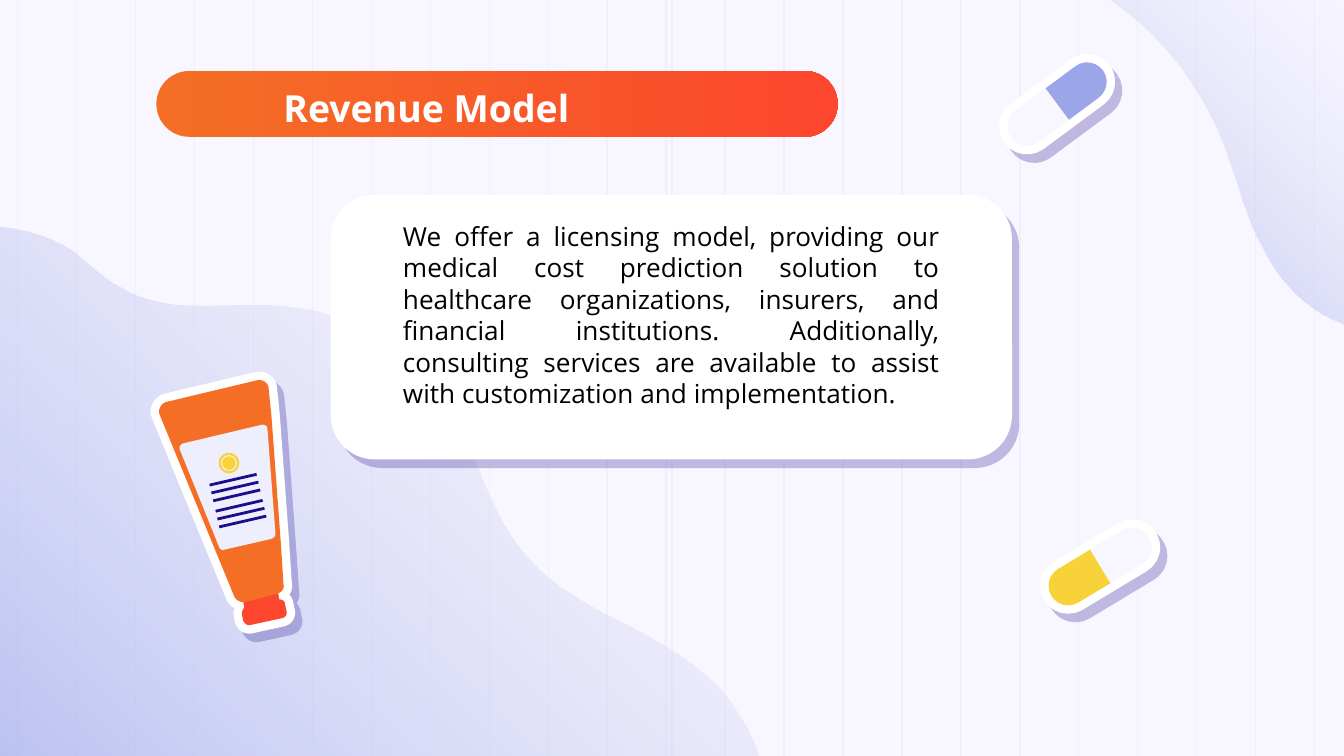
from math import cos, radians, sin

from lxml.etree import SubElement
from pptx import Presentation
from pptx.dml.color import RGBColor
from pptx.enum.shapes import MSO_CONNECTOR, MSO_SHAPE
from pptx.enum.text import MSO_ANCHOR, PP_ALIGN
from pptx.oxml.ns import qn
from pptx.util import Pt

WIDTH, HEIGHT = 720, 405
PAPER, STRIPE, WHITE, BLACK = "F8F6FF", "EFEEFC", "FFFFFF", "000000"
ORANGE, RED, YELLOW, BLUE, NAVY = "F46F25", "FC462D", "F7D238", "9BA6E9", "1D0D8D"
FONT = "Open Sans"

# Outlines: a pair is a straight step, six numbers are a Bezier step.
LEFT_WAVE = [
    (-17, 122), (4, 120, 20, 124, 35, 132), (45, 138, 53, 148, 63, 153),
    (89, 170, 122, 161, 153, 164), (188, 167, 222, 188, 240, 218),
    (256, 244, 262, 276, 282, 298), (295, 313, 313, 323, 331, 332),
    (349, 341, 370, 353, 384, 367), (397, 382, 408, 400, 410, 423),
    (4, 423), (-8, 423, -17, 413, -17, 401),
]
RIGHT_WAVE = [
    (731, 176), (708, 174, 686, 154, 676, 132), (665, 112, 661, 88, 651, 67),
    (636, 35, 612, 8, 580, -9), (703, -9), (718, -9, 731, 4, 731, 20),
]
TUBE_BODY = [
    (89.3, 215.3), (86.4, 216, 84.2, 219.6, 85.7, 222.5), (125.3, 319),
    (126.5, 322, 129, 322.6, 131, 322.6), (148.3, 318.2),
    (150.5, 317.5, 152.6, 315.4, 151.9, 313.2), (150.5, 291.6),
    (145.4, 222.5), (144, 208.8), (144, 205.2, 141, 203, 137.5, 203.8),
]
TUBE_CAP = [
    (131.8, 325.4), (130.3, 325.4, 129.6, 327.6, 129.6, 329), (130.3, 332.6),
    (131, 334, 132.5, 335.5, 134.6, 334.8), (151.2, 331.2),
    (153.4, 330.5, 154, 329, 153.4, 326.9), (152.6, 323.3),
    (152.6, 321.8, 150.5, 321, 149, 321.1),
]
TUBE_NECK = [(130.3, 321.8), (131, 326.2), (149.8, 321.8), (149, 317.5)]
TUBE_LABEL = [
    (97.9, 237.6), (96.5, 238.3, 95.8, 239.8, 96.5, 241.2), (117.4, 293),
    (118, 294.5, 119.5, 295.2, 120.2, 294.5), (145.4, 288.7),
    (146.9, 288, 147.6, 287.3, 147.6, 285.8), (143.3, 229.7),
    (143.3, 228.2, 141.8, 227.5, 140.4, 227.5),
]


def color(value):
    return RGBColor.from_string(value)


def flatten(steps, samples=12):
    """Turn straight and Bezier steps into a list of points."""
    points = [steps[0]]
    for step in steps[1:]:
        if len(step) == 2:
            points.append(step)
            continue
        x0, y0 = points[-1]
        x1, y1, x2, y2, x3, y3 = step
        for index in range(1, samples + 1):
            t = index / samples
            a, b, c, d = (1 - t) ** 3, 3 * t * (1 - t) ** 2, 3 * t * t * (1 - t), t ** 3
            points.append((a * x0 + b * x1 + c * x2 + d * x3,
                           a * y0 + b * y1 + c * y2 + d * y3))
    return points


class SlideBuilder:
    def __init__(self, slide):
        self.slide = slide
        self.shapes = slide.shapes

    def paint(self, shape, fill=None, line=None, line_width=9):
        shape.shadow.inherit = False
        if fill:
            shape.fill.solid()
            shape.fill.fore_color.rgb = color(fill)
        else:
            shape.fill.background()
        if line:
            shape.line.color.rgb = color(line)
            shape.line.width = Pt(line_width)
        else:
            shape.line.fill.background()
        return shape

    def gradient(self, shape, colors, angle, opacities=None):
        """Blend two colours; the angle runs counter-clockwise."""
        shape.fill.gradient()
        shape.fill.gradient_angle = angle
        for stop, value in zip(shape.fill.gradient_stops, colors):
            stop.color.rgb = color(value)
        if opacities:
            stops = shape._element.spPr.find(qn("a:gradFill")).iter(qn("a:srgbClr"))
            for stop, opacity in zip(stops, opacities):
                SubElement(stop, qn("a:alpha"), val=str(opacity * 1000))

    def cast_shadow(self, shape):
        effects = shape._element.spPr.find(qn("a:effectLst"))
        shadow = SubElement(effects, qn("a:outerShdw"), blurRad="0", dist=str(Pt(6)),
                            dir=str(50 * 60000), algn="bl", rotWithShape="0")
        tint = SubElement(shadow, qn("a:srgbClr"), val=NAVY)
        SubElement(tint, qn("a:alpha"), val="25000")

    def preset(self, kind, left, top, width, height, fill=None, line=None, line_width=9):
        shape = self.shapes.add_shape(kind, Pt(left), Pt(top), Pt(width), Pt(height))
        return self.paint(shape, fill, line, line_width)

    def outline(self, steps, fill=None, line=None):
        points = [(Pt(x), Pt(y)) for x, y in flatten(steps)]
        builder = self.shapes.build_freeform(*points[0], scale=1.0)
        builder.add_line_segments(points[1:], close=True)
        return self.paint(builder.convert_to_shape(), fill, line)

    def line(self, x1, y1, x2, y2, stroke, width):
        connector = self.shapes.add_connector(
            MSO_CONNECTOR.STRAIGHT, Pt(x1), Pt(y1), Pt(x2), Pt(y2))
        connector.line.color.rgb = color(stroke)
        connector.line.width = Pt(width)
        SubElement(connector._element.spPr, qn("a:effectLst"))

    def text(self, left, top, width, height, words, size, ink, bold=False,
             spacing=1.0, anchor=MSO_ANCHOR.TOP, vertical_inset=0):
        box = self.shapes.add_textbox(Pt(left), Pt(top), Pt(width), Pt(height))
        frame = box.text_frame
        frame.word_wrap = True
        frame.vertical_anchor = anchor
        frame.margin_left = frame.margin_right = Pt(7.2)
        frame.margin_top = frame.margin_bottom = Pt(vertical_inset)
        frame.text = words
        paragraph = frame.paragraphs[0]
        paragraph.alignment = PP_ALIGN.JUSTIFY
        paragraph.line_spacing = spacing
        font = paragraph.runs[0].font
        font.name, font.size, font.bold = FONT, Pt(size), bold
        font.color.rgb = color(ink)

    def pill(self, center_x, center_y, angle, upper, lower, width=21, length=61):
        """Draw a capsule turned clockwise from upright, with two coloured halves."""
        shell = self.preset(MSO_SHAPE.ROUNDED_RECTANGLE, center_x - width / 2,
                            center_y - length / 2, width, length, WHITE, WHITE)
        shell.adjustments[0] = 0.5
        shell.rotation = angle
        self.cast_shadow(shell)
        for fill, turn in ((upper, angle), (lower, angle + 180)):
            x = center_x + sin(radians(turn)) * length / 4
            y = center_y - cos(radians(turn)) * length / 4
            half = self.preset(MSO_SHAPE.ROUND_2_SAME_RECTANGLE, x - width / 2,
                               y - length / 4, width, length / 2, fill)
            half.adjustments[0] = 0.5
            half.rotation = turn

    def tube(self):
        self.cast_shadow(self.outline(TUBE_BODY[:4] + TUBE_CAP + TUBE_BODY[4:], WHITE, WHITE))
        for steps, fill in ((TUBE_NECK, RED), (TUBE_CAP, RED),
                            (TUBE_BODY, ORANGE), (TUBE_LABEL, STRIPE)):
            self.outline(steps, fill)
        for shift in (0, 4.2, 8.4, 14, 18.2, 22.4):
            x, y = 112.3 + shift * 0.23, 259.9 + shift
            self.line(x, y, x + 25.2, y - 5.8, NAVY, 1.5)
        self.preset(MSO_SHAPE.OVAL, 117.2, 242.6, 11, 11, YELLOW)
        self.preset(MSO_SHAPE.OVAL, 118.7, 244.1, 8, 8, line=STRIPE, line_width=0.6)


def main():
    presentation = Presentation()
    presentation.slide_width, presentation.slide_height = Pt(WIDTH), Pt(HEIGHT)
    slide = presentation.slides.add_slide(presentation.slide_layouts[6])
    slide.background.fill.solid()
    slide.background.fill.fore_color.rgb = color(PAPER)
    builder = SlideBuilder(slide)

    for x in [9.5 + 31.58 * index for index in range(23)] + [WIDTH / 2]:
        builder.line(x, 0, x, HEIGHT, STRIPE, 0.75)
    for wave in (LEFT_WAVE, RIGHT_WAVE):
        builder.gradient(builder.outline(wave), (PAPER, BLUE), 225, (20, 70))

    card = builder.preset(MSO_SHAPE.ROUNDED_RECTANGLE, 177.2, 104.4, 365, 141.8, WHITE)
    card.adjustments[0] = 0.167
    builder.cast_shadow(card)
    banner = builder.preset(MSO_SHAPE.ROUNDED_RECTANGLE, 83.8, 38, 365, 35.3)
    banner.adjustments[0] = 0.5
    builder.gradient(banner, (ORANGE, RED), 0)
    builder.text(144.7, 43.9, 222.5, 23.8, "Revenue Model", 20, WHITE, bold=True,
                 spacing=1.15, anchor=MSO_ANCHOR.MIDDLE, vertical_inset=7.2)

    builder.tube()
    builder.pill(589.4, 303.5, 59, PAPER, YELLOW)
    builder.pill(566.3, 55.8, 53.5, BLUE, PAPER)
    builder.text(208.8, 118.1, 301.7, 103,
                 "We offer a licensing model, providing our medical cost prediction solution "
                 "to healthcare organizations, insurers, and financial institutions. "
                 "Additionally, consulting services are available to assist with "
                 "customization and implementation.", 14, BLACK)
    presentation.save("out.pptx")


if __name__ == "__main__":
    main()
